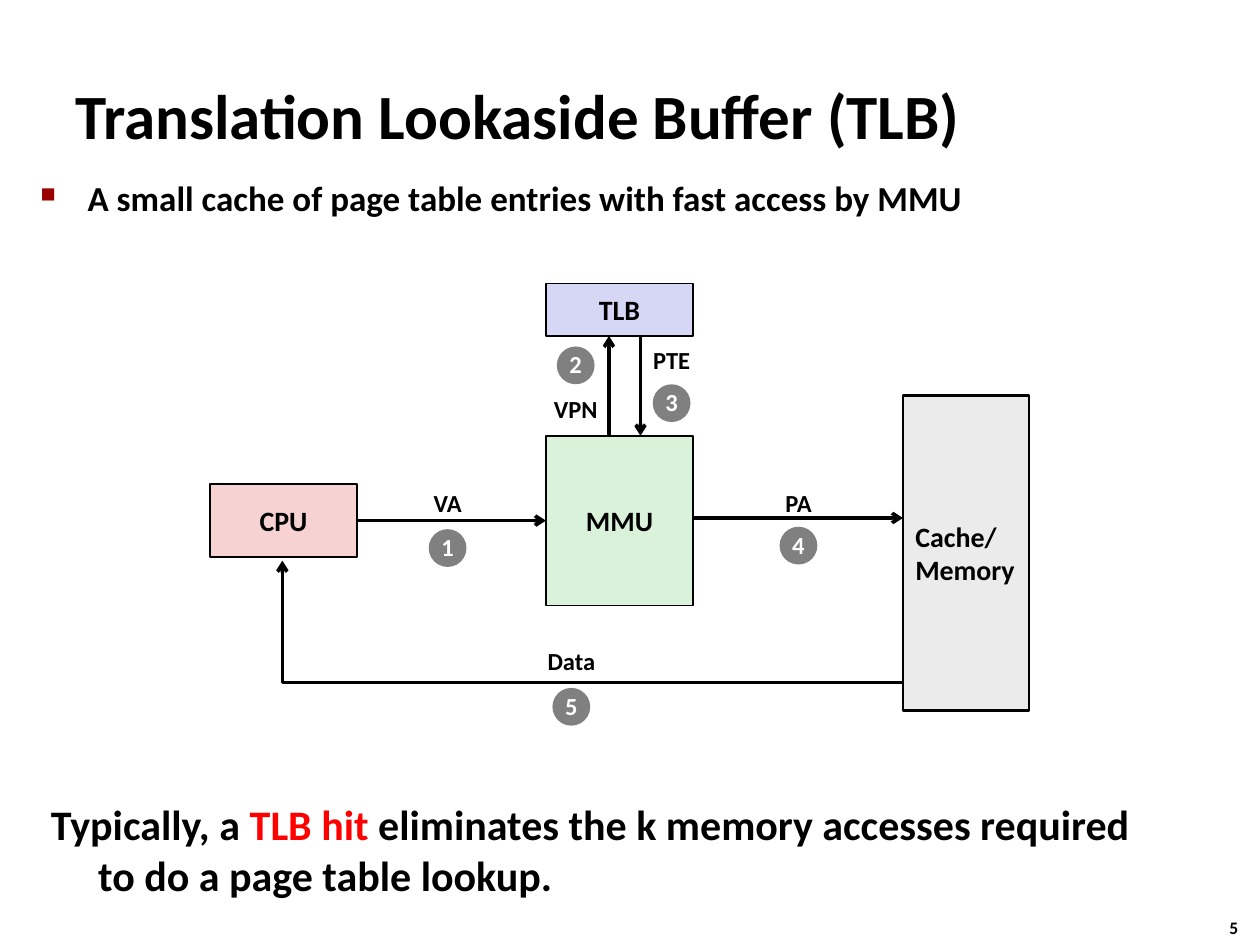
"""Build a slide on how the translation lookaside buffer serves the MMU."""
from dataclasses import dataclass

from lxml.etree import SubElement
from pptx import Presentation
from pptx.dml.color import RGBColor
from pptx.enum.shapes import MSO_CONNECTOR, MSO_SHAPE
from pptx.enum.text import MSO_ANCHOR, PP_ALIGN
from pptx.oxml.ns import qn
from pptx.util import Pt


@dataclass(frozen=True)
class Theme:
    """Colours and type sizes of the slide."""
    font: str = "Calibri"
    ink: str = "000000"
    paper: str = "FFFFFF"
    accent: str = "FF0000"
    bullet: str = "990000"
    badge: str = "808080"
    tlb: str = "D6D6F5"
    mmu: str = "DBF2DA"
    cpu: str = "F6D2D2"
    memory: str = "EBEBEB"
    title: int = 36
    takeaway: int = 24
    body: int = 20
    block: int = 16
    label: int = 14
    number: int = 10


THEME = Theme()


def rgb(color):
    """Turn a hex string into a colour."""
    return RGBColor.from_string(color)


def style(run, size, color=THEME.ink):
    """Give a run the slide's bold face."""
    run.font.name = THEME.font
    run.font.size = Pt(size)
    run.font.bold = True
    run.font.color.rgb = rgb(color)


def write(s, text, size, color=THEME.ink, align=PP_ALIGN.LEFT,
          anchor=MSO_ANCHOR.TOP, wrap=True, spacing=None):
    """Set and format the text of a shape, and return its first paragraph."""
    tf = s.text_frame
    tf.text = text
    tf.word_wrap = wrap
    tf.vertical_anchor = anchor
    for p in tf.paragraphs:
        p.alignment = align
        p.line_spacing = spacing
        for r in p.runs:
            style(r, size, color)
    return tf.paragraphs[0]


def add_text(slide, box, text, size, **options):
    """Add a text box and return its first paragraph."""
    sp = slide.shapes.add_textbox(*map(Pt, box))
    return write(sp, text, size, **options)


def hang(p, indent):
    """Give a paragraph a hanging indent in points."""
    pPr = p._p.get_or_add_pPr()
    pPr.set("marL", str(Pt(indent)))
    pPr.set("indent", str(-Pt(indent)))
    return pPr


def add_block(slide, box, text, fill, weight=1, align=PP_ALIGN.CENTER):
    """Add an outlined hardware block."""
    sp = slide.shapes.add_shape(MSO_SHAPE.RECTANGLE, *map(Pt, box))
    sp.shadow.inherit = False
    sp.fill.solid()
    sp.fill.fore_color.rgb = rgb(fill)
    sp.line.color.rgb = rgb(THEME.ink)
    sp.line.width = Pt(weight)
    write(sp, text, THEME.block, align=align, anchor=MSO_ANCHOR.MIDDLE, wrap=False)


def add_badge(slide, cx, cy, text, size=21.6):
    """Add a numbered step circle around a centre."""
    box = (cx - size / 2, cy - size / 2, size, size)
    sp = slide.shapes.add_shape(MSO_SHAPE.OVAL, *map(Pt, box))
    sp.shadow.inherit = False
    sp.fill.solid()
    sp.fill.fore_color.rgb = rgb(THEME.badge)
    sp.line.fill.background()
    write(sp, text, THEME.label, THEME.paper, PP_ALIGN.CENTER,
          MSO_ANCHOR.MIDDLE, False, 0.98)


def add_arrow(slide, x1, y1, x2, y2):
    """Add an arrow, with one corner if its ends share no axis."""
    bent = x1 != x2 and y1 != y2
    kind = MSO_CONNECTOR.ELBOW if bent else MSO_CONNECTOR.STRAIGHT
    c = slide.shapes.add_connector(kind, *map(Pt, (x1, y1, x2, y2)))
    c.line.color.rgb = rgb(THEME.ink)
    c.line.width = Pt(2)
    spPr = c._element.spPr
    if bent:
        spPr.find(qn("a:prstGeom")).set("prst", "bentConnector2")
    SubElement(c.line._get_or_add_ln(), qn("a:tailEnd"), type="arrow")
    SubElement(spPr, qn("a:effectLst"))


def add_title(slide, box):
    """Place the slide title."""
    p = add_text(slide, box, "Translation Lookaside Buffer (TLB)", THEME.title,
                 anchor=MSO_ANCHOR.MIDDLE)
    hang(p, 9)


def add_summary(slide, box):
    """Place the bulleted definition."""
    p = add_text(slide, box,
                 "A small cache of page table entries with fast access by MMU",
                 THEME.body, spacing=0.83)
    pPr = hang(p, 27)
    color = SubElement(pPr, qn("a:buClr"))
    SubElement(color, qn("a:srgbClr"), val=THEME.bullet)
    SubElement(pPr, qn("a:buSzPct"), val="60000")
    SubElement(pPr, qn("a:buChar"), char="■")


def add_diagram(slide, box):
    """Draw the address translation path inside a box."""
    left, top, width, height = box
    block_w, memory_w, label_w, label_h = 84, 72, 48, 24
    mid = (width - block_w) / 2
    memory_x = width - memory_w
    blocks = [
        ((mid, 0, block_w, 30), "TLB", THEME.tlb, 1, PP_ALIGN.CENTER),
        ((mid, 87, block_w, 97), "MMU", THEME.mmu, 1, PP_ALIGN.CENTER),
        ((0, 114.5, block_w, 42), "CPU", THEME.cpu, 1, PP_ALIGN.CENTER),
        ((memory_x, height - 180, memory_w, 180), "Cache/\nMemory",
         THEME.memory, 1.5, PP_ALIGN.LEFT),
    ]
    for (x, y, w, h), *look in blocks:
        add_block(slide, (left + x, top + y, w, h), *look)

    arrows = [
        (block_w, 135.5, mid, 135.5),
        (mid + 36, 87, mid + 36, 30),
        (mid + 54, 30, mid + 54, 87),
        (mid + block_w, 134, memory_x, 134),
        (memory_x, 228, 41.4, 158.4),
    ]
    for x1, y1, x2, y2 in arrows:
        add_arrow(slide, left + x1, top + y1, left + x2, top + y2)

    steps = [
        ("VA", 135.8, 126, 151.2),
        ("VPN", 209, 72, 46.8),
        ("PTE", 263.8, 44, 68.4),
        ("PA", 336.3, 126, 149.8),
        ("Data", 206.5, 216, 241.9),
    ]
    for number, (name, cx, label_y, badge_y) in enumerate(steps, 1):
        label_box = (left + cx - label_w / 2, top + label_y - label_h / 2,
                     label_w, label_h)
        add_text(slide, label_box, name, THEME.label, align=PP_ALIGN.CENTER,
                 anchor=MSO_ANCHOR.MIDDLE, wrap=False, spacing=0.98)
        add_badge(slide, left + cx, top + badge_y, str(number))


def add_takeaway(slide, box):
    """Place the closing sentence with its highlighted term."""
    p = add_text(slide, box, "Typically, a ", THEME.takeaway)
    hang(p, 27)
    rest = " eliminates the k memory accesses required to do a page table lookup."
    for text, color in (("TLB hit", THEME.accent), (rest, THEME.ink)):
        r = p.add_run()
        r.text = text
        style(r, THEME.takeaway, color)


def main():
    """Build and save the slide."""
    prs = Presentation()
    prs.slide_width, prs.slide_height = Pt(720), Pt(540)
    slide = prs.slides.add_slide(prs.slide_layouts[6])
    add_title(slide, (36, 34.5, 684, 62))
    add_summary(slide, (16, 101.5, 690, 66))
    add_diagram(slide, (120, 162, 468, 244))
    add_takeaway(slide, (22, 453, 644, 45.4))
    add_text(slide, (695.5, 520.5, 24.5, 19.5), "5", THEME.number)
    prs.save("out.pptx")


if __name__ == "__main__":
    main()
